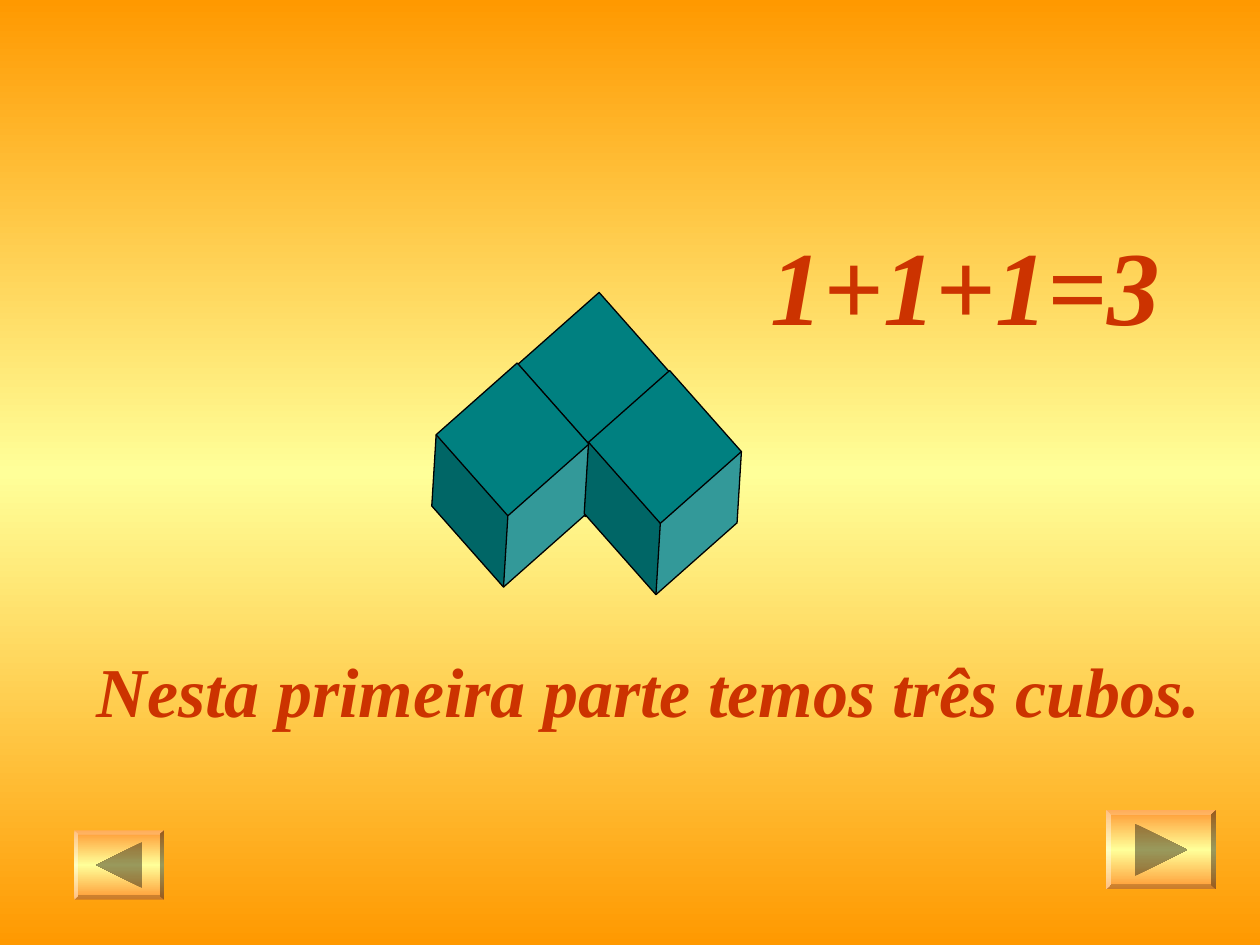
from copy import deepcopy
from dataclasses import dataclass
from pptx import Presentation
from pptx.dml.color import RGBColor
from pptx.enum.shapes import MSO_SHAPE
from pptx.enum.text import MSO_AUTO_SIZE
from pptx.util import Inches, Pt


@dataclass(frozen=True)
class Theme:
    font: str = "Times New Roman"
    text: str = "CC3300"
    cube: str = "008080"
    edge: str = "000000"
    back: tuple = ("FF9900", "FFFF99", "FF9900")
    key: tuple = ("FF9933", "FFFF99", "FF9933")
    arrow: tuple = ("997134", "99995C", "997134")
    sum_size: int = 60
    note_size: int = 40


class Page:
    def __init__(self, slide, theme):
        self.slide = slide
        self.theme = theme

    def blend(self, fill, hues):
        fill.gradient()
        fill.gradient_angle = 270
        first = fill.gradient_stops[0]._gs
        first.addnext(deepcopy(first))
        for place, (stop, hue) in enumerate(zip(fill.gradient_stops, hues)):
            stop.position = place / 2
            stop.color.rgb = RGBColor.from_string(hue)

    def back(self):
        self.blend(self.slide.background.fill, self.theme.back)

    def shape(self, kind, left, top, width, height):
        shape = self.slide.shapes.add_shape(
            kind, Inches(left), Inches(top), Inches(width), Inches(height))
        shape.shadow.inherit = False
        return shape

    def cube(self, left, top):
        cube = self.shape(MSO_SHAPE.CUBE, left, top, 1.26, 1.26)
        cube.adjustments[0] = 0.318
        cube.rotation = 138.5
        cube.fill.solid()
        cube.fill.fore_color.rgb = RGBColor.from_string(self.theme.cube)
        cube.line.color.rgb = RGBColor.from_string(self.theme.edge)
        cube.line.width = Pt(0.75)

    def text(self, words, size, left, top, width, height):
        box = self.slide.shapes.add_textbox(
            Inches(left), Inches(top), Inches(width), Inches(height))
        frame = box.text_frame
        frame.word_wrap = True
        frame.auto_size = MSO_AUTO_SIZE.SHAPE_TO_FIT_TEXT
        line = frame.paragraphs[0]
        line.text = words
        line.space_before = Pt(size * 0.625)
        font = line.font
        font.name = self.theme.font
        font.size = Pt(size)
        font.bold = font.italic = True
        font.color.rgb = RGBColor.from_string(self.theme.text)

    def button(self, left, top, width, height, turn):
        key = self.shape(MSO_SHAPE.BEVEL, left, top, width, height)
        key.adjustments[0] = 0.06
        side = height * 0.66
        arrow = self.shape(
            MSO_SHAPE.ISOSCELES_TRIANGLE, left + (width - side) / 2,
            top + (height - side) / 2, side, side)
        arrow.rotation = turn
        for part, hues in ((key, self.theme.key), (arrow, self.theme.arrow)):
            self.blend(part.fill, hues)
            part.line.fill.background()
        arrow.fill.gradient_angle = (270 + turn) % 360


def main():
    deck = Presentation()
    deck.slide_width, deck.slide_height = Inches(10), Inches(7.5)
    theme = Theme()
    page = Page(deck.slides.add_slide(deck.slide_layouts[6]), theme)
    page.back()
    for left, top in ((4.07, 2.58), (3.42, 3.14), (4.63, 3.2)):
        page.cube(left, top)
    page.text("Nesta primeira parte temos três cubos.", theme.note_size,
              0.67, 5.09, 8.98, 0.77)
    page.text("1+1+1=3", theme.sum_size, 6.02, 1.7, 3.31, 1.1)
    page.button(8.78, 6.43, 0.87, 0.63, 90)
    page.button(0.59, 6.59, 0.71, 0.55, 270)
    deck.save("out.pptx")


if __name__ == "__main__":
    main()
